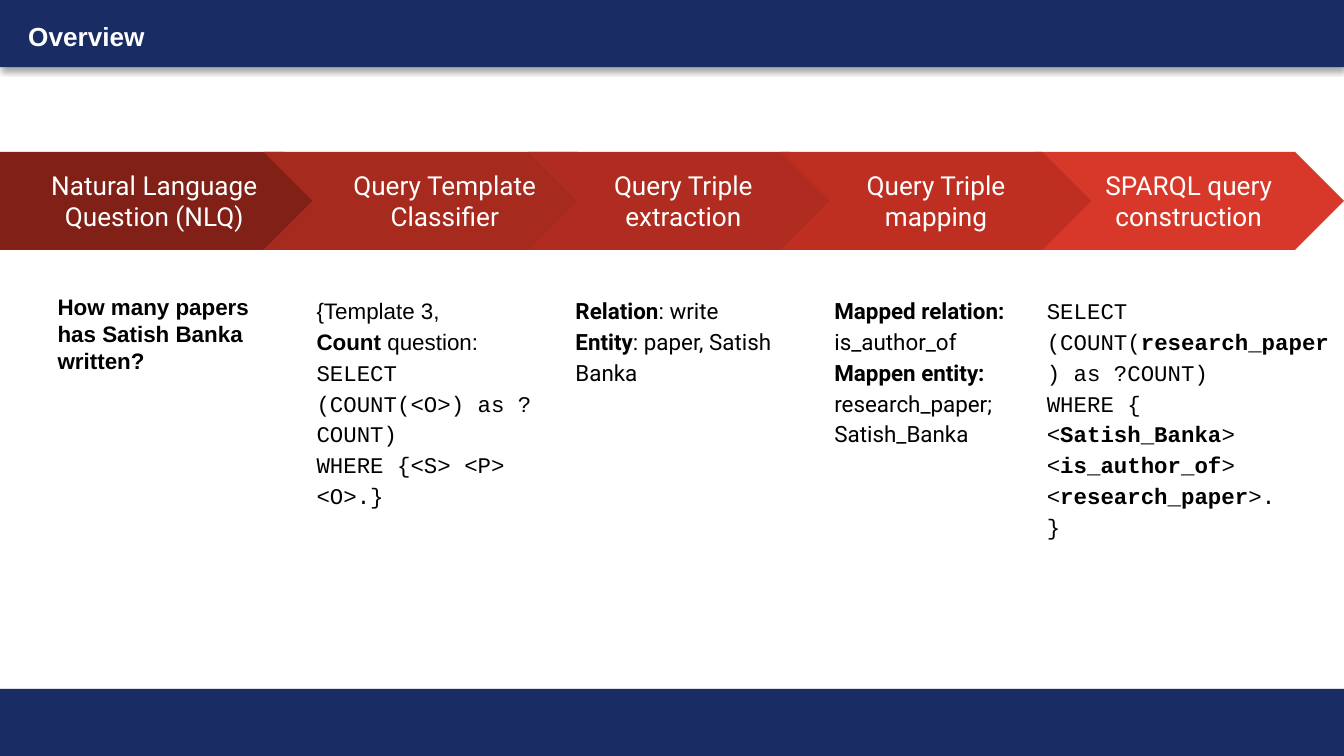
from lxml import etree
from pptx import Presentation, util as u
from pptx.dml.color import RGBColor
from pptx.enum import shapes, text
from pptx.oxml.ns import qn

SLIDE_W = 10
SLIDE_H = SLIDE_W * 9 / 16
COLORS = {"navy": "1A2C64", "white": "FFFFFF", "black": "000000"}
SANS, MONO, ROBOTO = "Arial", "Courier New", "Roboto"

HEADING = "Overview"
STAGES = [
    {"label": "Natural Language Question (NLQ)", "fill": "802017", "left": 0, "width": 2.48, "spacing": 1.0,
     "example": [(SANS, "**How many papers has Satish Banka written?**")]},
    {"label": "Query Template Classifier", "fill": "A72A1E", "left": 1.96, "width": 2.7,
     "example": [(SANS, "{Template 3,"), (SANS, "**Count** question:"),
                 (MONO, "SELECT (COUNT(<O>) as ?COUNT)"), (MONO, "WHERE {<S> <P> <O>.}")]},
    {"label": "Query Triple extraction", "fill": "B02C20", "left": 3.93,
     "example": [(ROBOTO, "**Relation**: write"), (ROBOTO, "**Entity**: paper, Satish Banka")]},
    {"label": "Query Triple mapping", "fill": "BE2F22", "left": 5.81,
     "example": [(ROBOTO, "**Mapped relation:**"), (ROBOTO, "is_author_of"),
                 (ROBOTO, "**Mappen entity:**"), (ROBOTO, "research_paper;"),
                 (ROBOTO, "Satish_Banka")]},
    {"label": "SPARQL query construction", "fill": "D83829", "left": 7.69, "example_left": 7.69, "example_width": 2.31,
     "example": [(MONO, "SELECT (COUNT(**research_paper**) as ?COUNT)"), (MONO, "WHERE {"),
                 (MONO, "<**Satish_Banka**> <**is_author_of**>"),
                 (MONO, "<**research_paper**>."), (MONO, "}")]},
]
STACKING = [0, 1, 2, 4, 3]

BAND_H = 0.5
ARROW_TOP, ARROW_H, ARROW_W = 1.13, 0.73, 2.31
EXAMPLE_TOP, EXAMPLE_H, EXAMPLE_W = 2.08, 2.57, 1.82
EXAMPLE_LEFT = 0.33
EXAMPLE_STEP = (6.11 - EXAMPLE_LEFT) / 3


def inches(*lengths):
    return [u.Inches(length) for length in lengths]


def set_frame(frame, anchor):
    values = {"word_wrap": True, "auto_size": text.MSO_AUTO_SIZE.NONE, "vertical_anchor": anchor}
    values.update({f"margin_{side}": u.Inches(0.1) for side in ("left", "top", "right", "bottom")})
    for name, value in values.items():
        setattr(frame, name, value)


def write(paragraph, marked, font, size, color, align, spacing=1.0):
    paragraph.alignment = align
    paragraph.line_spacing = spacing
    paragraph.space_before = u.Pt(0)
    for i, words in enumerate(marked.split("**")):
        if words:
            run = paragraph.add_run()
            run.text = words
            for name, value in {"name": font, "size": u.Pt(size), "bold": i % 2 == 1}.items():
                setattr(run.font, name, value)
            run.font.color.rgb = RGBColor.from_string(COLORS[color])


def add_filled(slide, preset, box, fill):
    shape = slide.shapes.add_shape(preset, *inches(*box))
    shape.shadow.inherit = False
    shape.fill.solid()
    shape.fill.fore_color.rgb = RGBColor.from_string(fill)
    shape.line.fill.background()
    return shape


def add_band(slide, top):
    band = add_filled(slide, shapes.MSO_SHAPE.RECTANGLE, (0, top, SLIDE_W, BAND_H), COLORS["navy"])
    effects = band._element.spPr.find(qn("a:effectLst"))
    shadow = etree.SubElement(effects, qn("a:outerShdw"), blurRad=str(u.Pt(3.1)),
                              dist=str(u.Pt(1.8)), dir="5400000", rotWithShape="0")
    color = etree.SubElement(shadow, qn("a:srgbClr"), val=COLORS["black"])
    etree.SubElement(color, qn("a:alpha"), val="34000")


def add_heading(slide):
    heading = slide.shapes.title
    heading.left, heading.top, heading.width, heading.height = inches(0.11, 0.05, 5.76, 0.44)
    set_frame(heading.text_frame, text.MSO_ANCHOR.TOP)
    write(heading.text_frame.paragraphs[0], f"**{HEADING}**", SANS, 14, "white", text.PP_ALIGN.LEFT)
    slide.shapes._spTree.append(heading._element)


def add_stage(slide, column):
    stage = STAGES[column]
    preset = shapes.MSO_SHAPE.CHEVRON if column else shapes.MSO_SHAPE.PENTAGON
    arrow = add_filled(slide, preset, (stage["left"], ARROW_TOP, stage.get("width", ARROW_W), ARROW_H), stage["fill"])
    arrow.adjustments[0] = 0.5
    set_frame(arrow.text_frame, text.MSO_ANCHOR.MIDDLE)
    write(arrow.text_frame.paragraphs[0], stage["label"], ROBOTO, 14, "white", text.PP_ALIGN.CENTER)

    left = stage.get("example_left", EXAMPLE_LEFT + column * EXAMPLE_STEP)
    example = slide.shapes.add_textbox(
        *inches(left, EXAMPLE_TOP, stage.get("example_width", EXAMPLE_W), EXAMPLE_H)).text_frame
    set_frame(example, text.MSO_ANCHOR.TOP)
    for i, (font, line) in enumerate(stage["example"]):
        paragraph = example.add_paragraph() if i else example.paragraphs[0]
        write(paragraph, line, font, 12, "black", text.PP_ALIGN.LEFT, stage.get("spacing", 1.15))


def main():
    deck = Presentation()
    deck.slide_width, deck.slide_height = inches(SLIDE_W, SLIDE_H)
    slide = deck.slides.add_slide(deck.slide_layouts.get_by_name("Title Only"))
    for top in (0, SLIDE_H - BAND_H):
        add_band(slide, top)
    add_heading(slide)
    for column in STACKING:
        add_stage(slide, column)
    deck.save("out.pptx")


if __name__ == "__main__":
    main()
